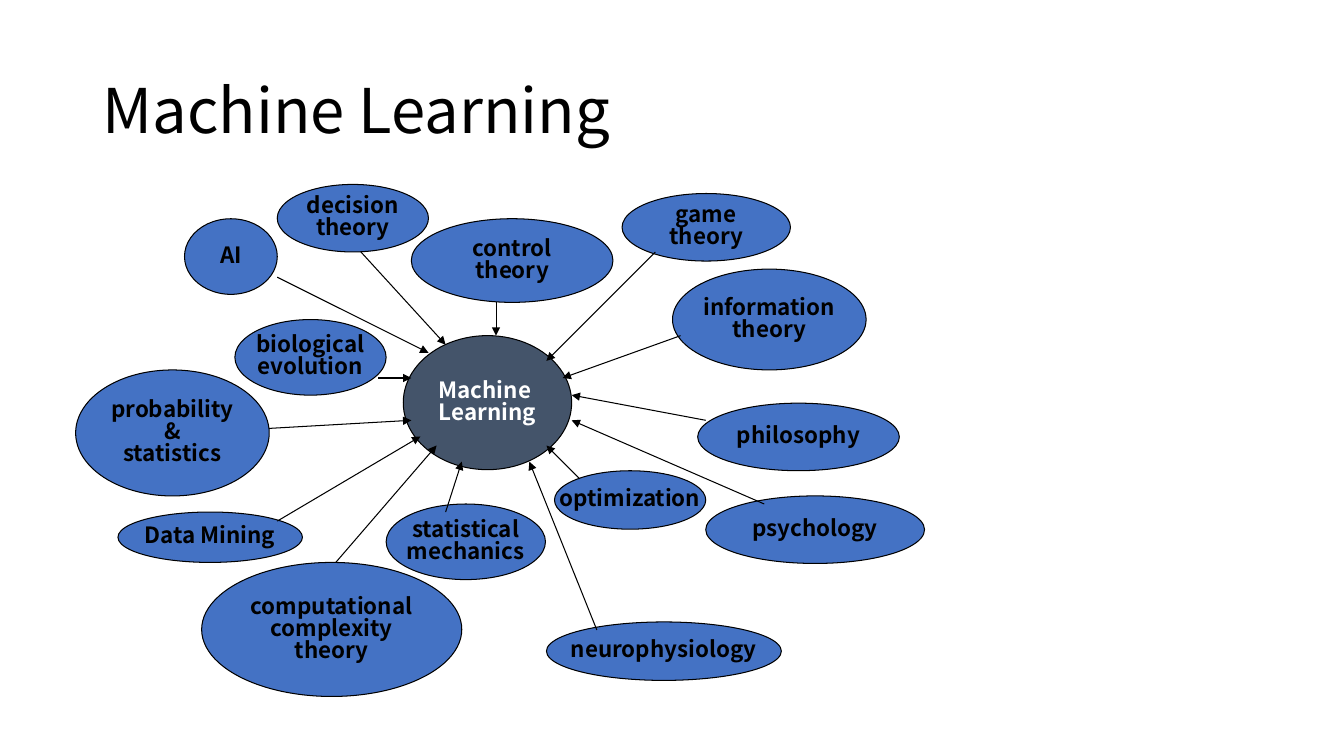
from dataclasses import dataclass

import pptx
import pptx.dml.color
import pptx.enum.shapes
import pptx.enum.text
import pptx.oxml
import pptx.oxml.ns
import pptx.slide
import pptx.text.text
import pptx.util

Inches = pptx.util.Inches
FONT = "Noto Sans CJK KR"
COLORS = {"ink": "000000", "paper": "FFFFFF", "hub": "44546A", "topic": "4472C4"}
OUTLINE_WIDTH = pptx.util.Pt(0.75)


@dataclass(frozen=True)
class Bubble:
    text: str
    left: float
    top: float
    width: float
    height: float
    fill: str = "topic"
    ink: str = "ink"


@dataclass(frozen=True)
class Arrow:
    start: tuple[float, float]
    end: tuple[float, float]


HUB = Bubble("Machine \nLearning", 4, 3.33, 1.67, 1.33, "hub", "paper")

# Each field of study with the arrow leading from it to the hub
TOPICS = [
    (Bubble("AI", 1.83, 2.17, 0.92, 0.75), Arrow((2.75, 2.75), (4.25, 3.5))),
    (Bubble("probability\n&\nstatistics", 0.75, 3.67, 1.92, 1.25), Arrow((2.67, 4.25), (4.08, 4.17))),
    (Bubble("computational\ncomplexity\ntheory", 2, 5.58, 2.58, 1.33), Arrow((3.33, 5.58), (4.33, 4.42))),
    (Bubble("control\ntheory", 4.08, 2.17, 2, 0.83), Arrow((4.92, 3), (4.92, 3.33))),
    (Bubble("information\ntheory", 6.67, 2.67, 1.92, 1), Arrow((6.75, 3.33), (5.58, 3.75))),
    (Bubble("philosophy", 6.92, 4, 2, 0.67), Arrow((7, 4.17), (5.67, 3.92))),
    (Bubble("psychology", 7, 4.92, 2.17, 0.67), Arrow((7.58, 5), (5.67, 4.17))),
    (Bubble("neurophysiology", 5.42, 6.17, 2.33, 0.58), Arrow((5.92, 6.25), (5.25, 4.58))),
    (Bubble("Data Mining", 1.17, 5.08, 1.83, 0.5), Arrow((2.75, 5.17), (4.17, 4.33))),
    (Bubble("decision\ntheory", 2.75, 1.83, 1.5, 0.67), Arrow((3.58, 2.5), (4.42, 3.42))),
    (Bubble("game\ntheory", 6.17, 1.92, 1.67, 0.67), Arrow((6.5, 2.5), (5.42, 3.58))),
    (Bubble("optimization", 5.5, 4.67, 1.5, 0.58), Arrow((5.75, 4.75), (5.42, 4.42))),
    (Bubble("biological\nevolution", 2.33, 3.17, 1.5, 0.75), Arrow((3.75, 3.75), (4.08, 3.75))),
    (Bubble("statistical\nmechanics", 3.83, 5, 1.58, 0.75), Arrow((4.42, 5.08), (4.58, 4.58))),
]


def color(name: str) -> pptx.dml.color.RGBColor:
    return pptx.dml.color.RGBColor.from_string(COLORS[name])


def write(frame: pptx.text.text.TextFrame, text: str, size: int, ink: str, bold: bool,
          spacing: float, align: pptx.enum.text.PP_ALIGN) -> None:
    """Fill a text frame with vertically centred, uniformly styled text."""
    frame.text = text
    frame.vertical_anchor = pptx.enum.text.MSO_ANCHOR.MIDDLE
    for para in frame.paragraphs:
        para.alignment = align
        para.line_spacing = spacing
        for span in para.runs:
            span.font.name = FONT
            span.font.size = pptx.util.Pt(size)
            span.font.bold = bold
            span.font.color.rgb = color(ink)


def draw_title(page: pptx.slide.Slide) -> None:
    box = page.shapes.add_textbox(Inches(0.92), Inches(0.4), Inches(11.5), Inches(1.45))
    box.text_frame.word_wrap = True
    write(box.text_frame, "Machine Learning", 44, "ink", False, 0.9,
          pptx.enum.text.PP_ALIGN.LEFT)


def draw_bubble(page: pptx.slide.Slide, bubble: Bubble) -> None:
    oval = page.shapes.add_shape(
        pptx.enum.shapes.MSO_SHAPE.OVAL, Inches(bubble.left), Inches(bubble.top),
        Inches(bubble.width), Inches(bubble.height))
    oval.shadow.inherit = False
    oval.fill.solid()
    oval.fill.fore_color.rgb = color(bubble.fill)
    oval.line.color.rgb = color("ink")
    oval.line.width = OUTLINE_WIDTH
    oval.text_frame.word_wrap = False
    write(oval.text_frame, bubble.text, 16, bubble.ink, True, 0.82,
          pptx.enum.text.PP_ALIGN.CENTER)


def draw_arrow(page: pptx.slide.Slide, arrow: Arrow) -> None:
    line = page.shapes.add_connector(
        pptx.enum.shapes.MSO_CONNECTOR.STRAIGHT,
        *(Inches(length) for length in (*arrow.start, *arrow.end)))
    line.line.color.rgb = color("ink")
    line.line.width = OUTLINE_WIDTH
    properties = line._element.spPr
    outline = properties.find(pptx.oxml.ns.qn("a:ln"))
    namespace = pptx.oxml.ns.nsdecls("a")
    outline.append(pptx.oxml.parse_xml(f'<a:tailEnd {namespace} type="triangle"/>'))
    properties.append(pptx.oxml.parse_xml(f"<a:effectLst {namespace}/>"))


def main() -> None:
    deck = pptx.Presentation()
    deck.slide_width = Inches(13.33)
    deck.slide_height = Inches(7.5)
    page = deck.slides.add_slide(deck.slide_layouts[6])
    draw_title(page)
    draw_bubble(page, HUB)
    for bubble, _ in TOPICS:
        draw_bubble(page, bubble)
    for _, arrow in TOPICS:
        draw_arrow(page, arrow)
    deck.save("out.pptx")


if __name__ == "__main__":
    main()
